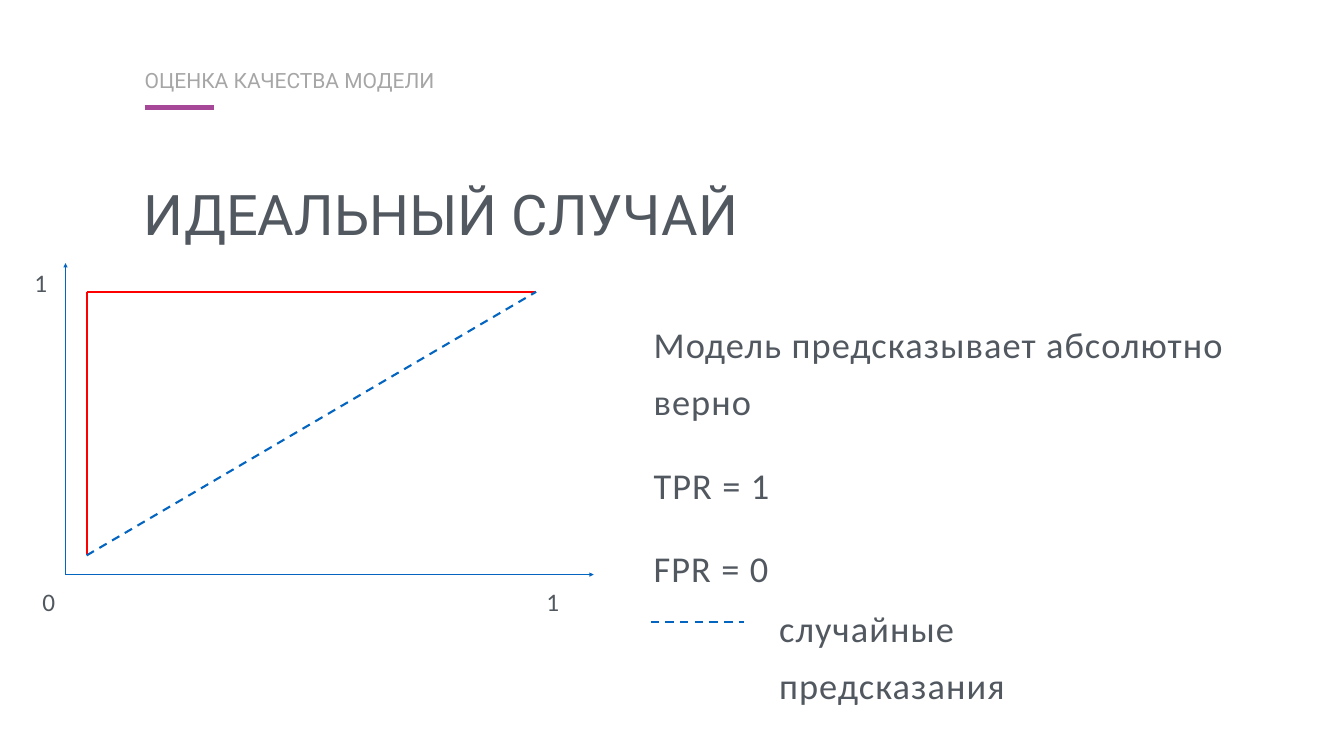
from lxml import etree
from pptx import Presentation
from pptx import util as u
from pptx.dml.color import RGBColor
from pptx.enum import dml, shapes, text
from pptx.oxml import ns

PX = 9144
GREY = RGBColor(0x52, 0x58, 0x60)
PALE = RGBColor(0xA6, 0xA6, 0xA6)
PURPLE = RGBColor(0xA6, 0x47, 0x98)
BLUE = RGBColor(0x03, 0x65, 0xC0)
RED = RGBColor(0xFF, 0x00, 0x00)

prs = Presentation()
prs.slide_width = 2667 * PX
prs.slide_height = 1500 * PX
s = prs.slides.add_slide(prs.slide_layouts[6])


def add_text(box, lines, size, font, color=GREY, before=0, spacing=0, align=text.PP_ALIGN.LEFT):
    tf = s.shapes.add_textbox(*[v * PX for v in box]).text_frame
    tf.word_wrap = True
    tf.auto_size = text.MSO_AUTO_SIZE.SHAPE_TO_FIT_TEXT
    tf.margin_left = tf.margin_right = tf.margin_top = tf.margin_bottom = 6 * PX
    tf.text = "\n".join(lines)
    for p in tf.paragraphs:
        p.alignment = align
        p.line_spacing = 1.3
        p.space_before = u.Pt(before)
        p.font.size = u.Pt(size)
        p.font.name = font
        p.font.color.rgb = color
        if spacing:
            p.font._rPr.set("spc", str(spacing))


def add_line(ends, color, width, dashed=False, arrow=False):
    c = s.shapes.add_connector(shapes.MSO_CONNECTOR.STRAIGHT, *[v * PX for v in ends])
    c.line.color.rgb = color
    c.line.width = u.Pt(width)
    if dashed:
        c.line.dash_style = dml.MSO_LINE.DASH
    if arrow:
        etree.SubElement(c.line._get_or_add_ln(), ns.qn("a:tailEnd"), type="triangle")
    etree.SubElement(c._element.spPr, ns.qn("a:effectLst"))


add_text((279, 311, 2118, 171), ["ИДЕАЛЬНЫЙ СЛУЧАЙ"], 80, "Roboto")
add_text((281, 113, 2118, 71), ["ОЦЕНКА КАЧЕСТВА МОДЕЛИ"], 30, "Roboto", PALE)
add_line((287, 213, 425, 213), PURPLE, 7)

add_text((1291, 608, 1341, 459),
         ["Модель предсказывает абсолютно верно", "TPR = 1", "FPR = 0"],
         52, "Calibri", before=38, spacing=160)

origin_x, origin_y = 130, 1140
add_line((origin_x, origin_y, 1178, origin_y), BLUE, 2, arrow=True)
add_line((origin_x, origin_y, origin_x, 522), BLUE, 2, arrow=True)
for label, x, y in [("0", 64, origin_y), ("1", 1064, origin_y), ("1", 48, 507)]:
    add_text((x, y, 66, 82), [label], 36, "Calibri", before=38, spacing=160,
             align=text.PP_ALIGN.CENTER)

left, top, right, bottom = 172, 579, 1064, 1102
add_line((left, bottom, left, top), RED, 3)
add_line((left, top, right, top), RED, 3)
add_line((left, bottom, right, top), BLUE, 3, dashed=True)

add_text((1540, 1171, 812, 125), ["случайные предсказания"], 52, "Calibri",
         before=38, spacing=160)
add_line((1291, 1234, 1476, 1234), BLUE, 3, dashed=True)

prs.save("out.pptx")
